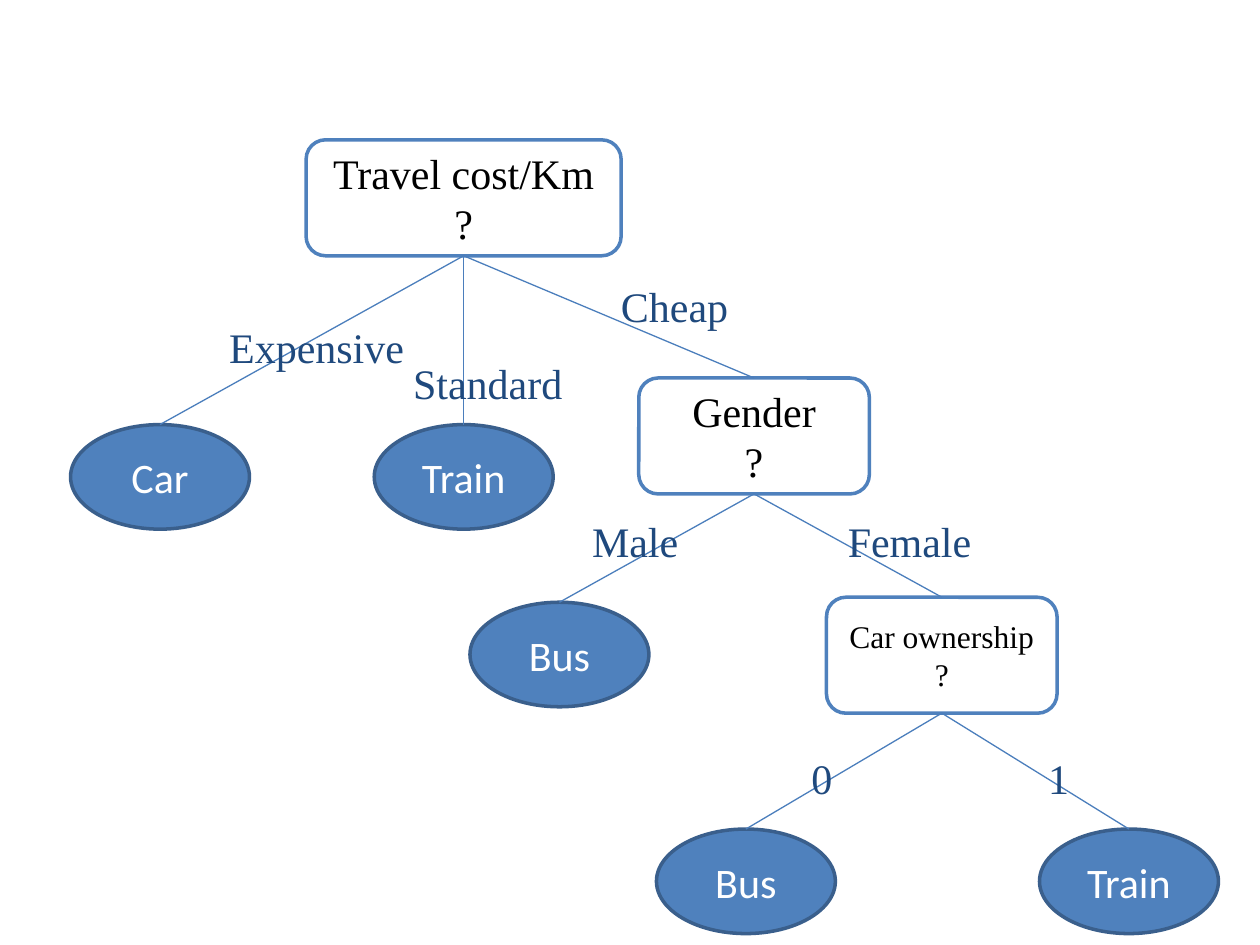
import pptx
import pptx.dml.color
import pptx.enum.shapes
import pptx.enum.text
import pptx.oxml
import pptx.oxml.ns
import pptx.util

RGBColor = pptx.dml.color.RGBColor
Shape = pptx.enum.shapes.MSO_SHAPE
Align = pptx.enum.text.PP_ALIGN

EMU_PER_PX = 9144  # 100 px to the inch
PAGE_WIDTH, PAGE_HEIGHT = 1000, 750

WHITE = RGBColor(0xFF, 0xFF, 0xFF)
BLACK = RGBColor(0x00, 0x00, 0x00)
BLUE = RGBColor(0x4F, 0x81, 0xBD)
LEAF_EDGE = RGBColor(0x3A, 0x5F, 0x8C)
BRANCH_BLUE = RGBColor(0x4B, 0x7E, 0xBC)
LABEL_BLUE = RGBColor(0x1F, 0x49, 0x7D)

SERIF = "Times New Roman"
SANS = "Calibri"

TOP, BOTTOM = 0, 2
QUESTION_HEIGHT = 92
LEAF_WIDTH, LEAF_HEIGHT = 142, 83
LABEL_HEIGHT = 50

# name: (attribute, left, top, width, text size)
QUESTIONS = {
    "cost": ("Travel cost/Km", 243, 111, 250, 24),
    "gender": ("Gender", 507, 300, 183, 24),
    "ownership": ("Car ownership", 656, 474, 183, 18),
}

# name: (decision, left, top)
LEAVES = {
    "expensive": ("Car", 56, 337),
    "standard": ("Train", 297, 337),
    "male": ("Bus", 373, 478),
    "no car": ("Bus", 521, 658),
    "has car": ("Train", 825, 658),
}

# (parent, child, label, label left, label top, label width)
BRANCHES = [
    ("cost", "expensive", "Expensive", 172, 250, 169),
    ("cost", "standard", "Standard", 318, 279, 142),
    ("cost", "gender", "Cheap", 483, 218, 142),
    ("gender", "male", "Male", 460, 404, 142),
    ("gender", "ownership", "Female", 663, 404, 142),
    ("ownership", "no car", "0", 634, 592, 142),
    ("ownership", "has car", "1", 822, 592, 142),
]


def px(length):
    return pptx.util.Emu(length * EMU_PER_PX)


def write(frame, text, *, font, size, color, align):
    """Fill a text frame, one paragraph for each line of text."""
    frame.word_wrap = True
    for index, line in enumerate(text.split("\n")):
        para = frame.paragraphs[0] if index == 0 else frame.add_paragraph()
        para.alignment = align
        span = para.add_run()
        span.text = line
        span.font.name = font
        span.font.size = pptx.util.Pt(size)
        span.font.color.rgb = color


class TreePage:
    """Draws the parts of a decision tree on one slide."""

    def __init__(self, page):
        self.page = page

    def node(self, kind, left, top, width, height, *, fill, edge, text, **style):
        shape = self.page.shapes.add_shape(
            kind, px(left), px(top), px(width), px(height))
        shape.shadow.inherit = False
        shape.fill.solid()
        shape.fill.fore_color.rgb = fill
        shape.line.color.rgb = edge
        shape.line.width = pptx.util.Pt(2)
        shape.text_frame.vertical_anchor = pptx.enum.text.MSO_ANCHOR.MIDDLE
        write(shape.text_frame, text, align=Align.CENTER, **style)
        return shape

    def question(self, attribute, left, top, width, size):
        return self.node(
            Shape.ROUNDED_RECTANGLE, left, top, width, QUESTION_HEIGHT,
            fill=WHITE, edge=BLUE, text=attribute + "\n?",
            font=SERIF, size=size, color=BLACK)

    def leaf(self, decision, left, top):
        return self.node(
            Shape.OVAL, left, top, LEAF_WIDTH, LEAF_HEIGHT,
            fill=BLUE, edge=LEAF_EDGE, text=decision,
            font=SANS, size=24, color=WHITE)

    def branch(self, parent, child):
        line = self.page.shapes.add_connector(
            pptx.enum.shapes.MSO_CONNECTOR.STRAIGHT, 0, 0, 0, 0)
        line.begin_connect(parent, BOTTOM)
        line.end_connect(child, TOP)
        line.line.color.rgb = BRANCH_BLUE
        line.line.width = pptx.util.Pt(0.75)
        properties = line._element.spPr
        properties.append(pptx.oxml.parse_xml(
            "<a:effectLst %s/>" % pptx.oxml.ns.nsdecls("a")))

    def label(self, text, left, top, width):
        box = self.page.shapes.add_textbox(
            px(left), px(top), px(width), px(LABEL_HEIGHT))
        write(box.text_frame, text, font=SERIF, size=24, color=LABEL_BLUE,
              align=Align.LEFT)
        box.text_frame.auto_size = pptx.enum.text.MSO_AUTO_SIZE.SHAPE_TO_FIT_TEXT


def main():
    deck = pptx.Presentation()
    deck.slide_width, deck.slide_height = px(PAGE_WIDTH), px(PAGE_HEIGHT)
    tree = TreePage(deck.slides.add_slide(deck.slide_layouts[6]))

    nodes = {name: tree.question(*row) for name, row in QUESTIONS.items()}
    nodes.update({name: tree.leaf(*row) for name, row in LEAVES.items()})
    for parent, child, *_ in BRANCHES:
        tree.branch(nodes[parent], nodes[child])
    for _, _, *label in BRANCHES:
        tree.label(*label)

    deck.save("out.pptx")


if __name__ == "__main__":
    main()
